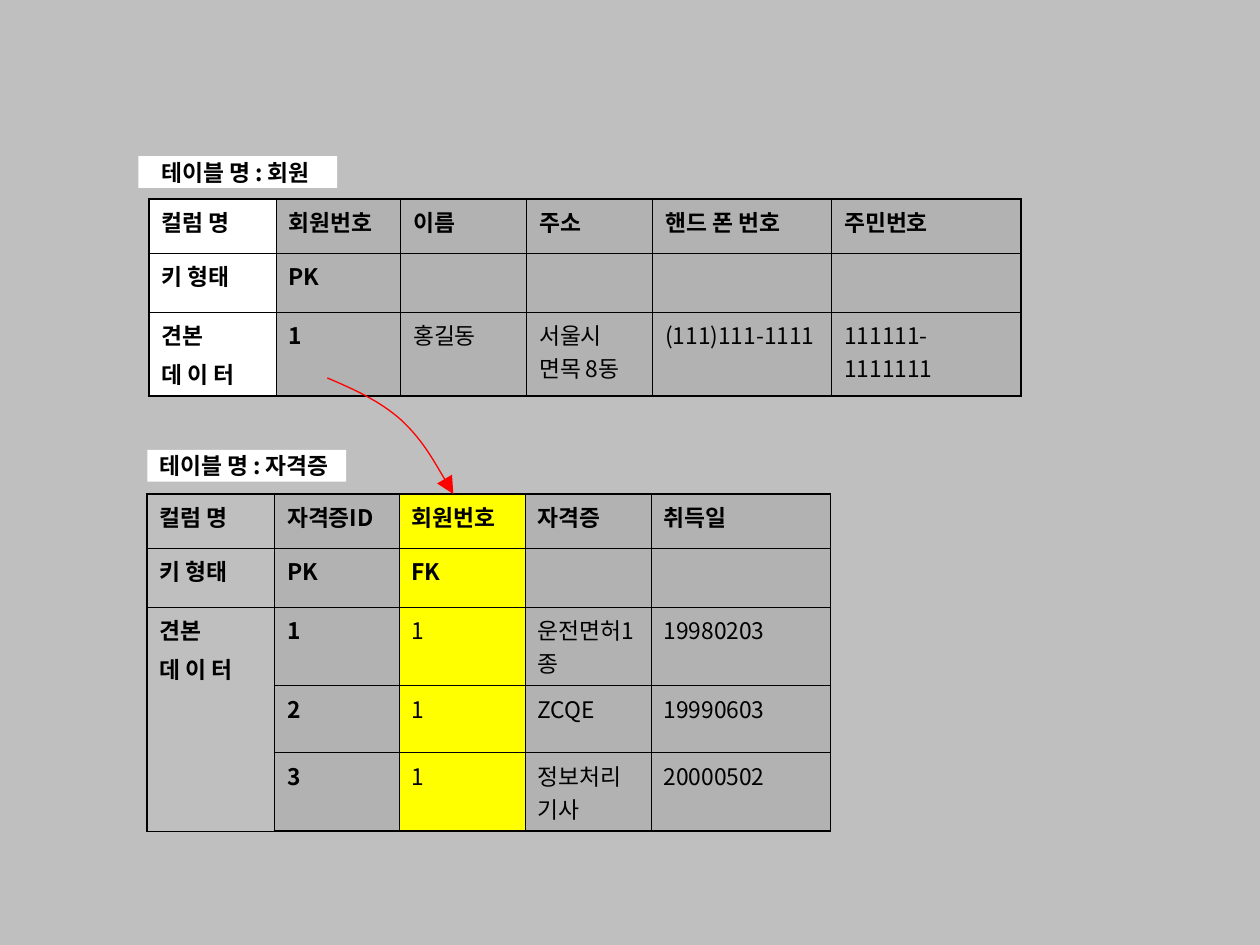
"""Build a slide that links a member table to a licence table by a foreign key."""
from lxml.etree import SubElement
from pptx import Presentation
from pptx.dml.color import RGBColor
from pptx.enum.shapes import MSO_SHAPE as Shape
from pptx.enum.text import MSO_ANCHOR as Anchor, PP_ALIGN as Align
from pptx.oxml.ns import qn
from pptx.util import Cm, Pt

FONT = "Noto Sans CJK KR"
COLORS = {"page": "BFBFBF", "cell": "B2B2B2", "key": "FFFF00",
          "white": "FFFFFF", "ink": "000000", "arrow": "FF0000"}
PLAIN_STYLE = "{2D5ABB26-0587-4C30-8999-92F81FD0307C}"
THIN, THICK = Pt(0.45), Pt(1.08)
COLUMNS = [2.57, 2.51, 2.54, 2.54, 3.61, 3.81]
HEADER_ROWS = [1.09, 1.19]
SAMPLE = "견본\n데 이 터"
MEMBERS = [
    ["컬럼 명", "회원번호", "이름", "주소", "핸드 폰 번호", "주민번호"],
    ["키 형태", "PK", "", "", "", ""],
    [SAMPLE, "1", "홍길동", "서울시 면목 8동", "(111)111-1111", "111111-1111111"],
]
LICENCES = [
    ["컬럼 명", "자격증ID", "회원번호", "자격증", "취득일"],
    ["키 형태", "PK", "FK", "", ""],
    [SAMPLE, "1", "1", "운전면허1종", "19980203"],
    ["", "2", "1", "ZCQE", "19990603"],
    ["", "3", "1", "정보처리기사", "20000502"],
]
JUSTIFIED = {"(111)111-1111", "111111-1111111", "ZCQE"}
CURVE = [(6.6, 7.62), (7.14, 7.85), (7.65, 8.08), (8.08, 8.46),
         (8.51, 8.86), (8.81, 9.4), (9.14, 9.96)]


def color(name):
    return RGBColor.from_string(COLORS[name])


def style_para(para, bold):
    font = para.font
    font.size, font.bold, font.name = Pt(13), bold, FONT
    font.color.rgb = color("ink")
    latin = para._p.pPr.find(qn("a:defRPr")).find(qn("a:latin"))
    east_asian = latin.makeelement(qn("a:ea"), {"typeface": FONT})
    latin.addnext(east_asian)


def add_borders(cell, widths):
    properties = cell._tc.get_or_add_tcPr()
    for side, width in zip("LRTB", widths):
        line = SubElement(properties, qn(f"a:ln{side}"), w=str(int(width)))
        fill = SubElement(line, qn("a:solidFill"))
        SubElement(fill, qn("a:srgbClr"), val=COLORS["ink"])


def fill_cell(cell, text, bold, fill):
    cell.margin_left = cell.margin_right = Cm(0.25)
    cell.margin_top = cell.margin_bottom = Cm(0.13)
    cell.text = text
    for para in cell.text_frame.paragraphs:
        para.space_before = Pt(3.3)
        if text in JUSTIFIED:
            para.alignment = Align.JUSTIFY
        style_para(para, bold)
    if fill:
        cell.fill.solid()
        cell.fill.fore_color.rgb = color(fill)
    else:
        cell.fill.background()


def add_grid(page, left, top, records, heights, fills):
    """Add a table whose columns take the given fills."""
    last_row, last_column = len(records) - 1, len(fills) - 1
    widths = COLUMNS[:len(fills)]
    table = page.shapes.add_table(len(records), len(fills), Cm(left), Cm(top),
                                  Cm(sum(widths)), Cm(sum(heights))).table
    table.first_row = table.horz_banding = False
    table._tbl.tblPr.find(qn("a:tableStyleId")).text = PLAIN_STYLE
    for column, width in zip(table.columns, widths):
        column.width = Cm(width)
    for row, height in zip(table.rows, heights):
        row.height = Cm(height)
    for r, record in enumerate(records):
        for c, text in enumerate(record):
            cell = table.cell(r, c)
            edges = (c == 0, c == last_column, r == 0, r == last_row)
            add_borders(cell, [THICK if edge else THIN for edge in edges])
            fill_cell(cell, text, r < 2 or c < 2, fills[c])
    return table


def add_label(page, left, top, text):
    box = page.shapes.add_shape(Shape.RECTANGLE, Cm(left), Cm(top), Cm(4.01), Cm(0.64))
    box.shadow.inherit = False
    box.fill.solid()
    box.fill.fore_color.rgb = color("white")
    box.line.fill.background()
    frame = box.text_frame
    frame.word_wrap = False
    frame.vertical_anchor = Anchor.MIDDLE
    para = frame.paragraphs[0]
    para.text = text
    para.alignment = Align.CENTER
    style_para(para, True)


def add_curved_arrow(page, points):
    """Draw cubic curves through a start point and triples of points."""
    start, *rest = [(Cm(x), Cm(y)) for x, y in points]
    builder = page.shapes.build_freeform(*start)
    builder.add_line_segments(rest, close=False)
    arrow = builder.convert_to_shape()
    arrow.shadow.inherit = False
    arrow.fill.background()
    arrow.line.color.rgb = color("arrow")
    arrow.line.width = Pt(0.75)
    SubElement(arrow.line._get_or_add_ln(), qn("a:tailEnd"),
               type="triangle", w="lg", len="lg")
    segments = list(arrow._element.iter(qn("a:lnTo")))
    outline = segments[0].getparent()
    for first in range(0, len(segments), 3):
        curve = SubElement(outline, qn("a:cubicBezTo"))
        for segment in segments[first:first + 3]:
            curve.append(segment[0])
            outline.remove(segment)


def main():
    deck = Presentation()
    deck.slide_width, deck.slide_height = Cm(25.4), Cm(19.05)
    page = deck.slides.add_slide(deck.slide_layouts[6])
    page.background.fill.solid()
    page.background.fill.fore_color.rgb = color("page")
    add_grid(page, 3, 4.01, MEMBERS, HEADER_ROWS + [1.47], ["white"] + ["cell"] * 5)
    add_label(page, 2.79, 3.15, "테이블 명 : 회원 ")
    licences = add_grid(page, 2.97, 9.96, LICENCES, HEADER_ROWS + [1.35] * 3,
                        [None, "cell", "key", "cell", "cell"])
    licences.cell(2, 0).merge(licences.cell(4, 0))
    add_label(page, 2.97, 9.07, "테이블 명 : 자격증 ")
    add_curved_arrow(page, CURVE)
    deck.save("out.pptx")


if __name__ == "__main__":
    main()
